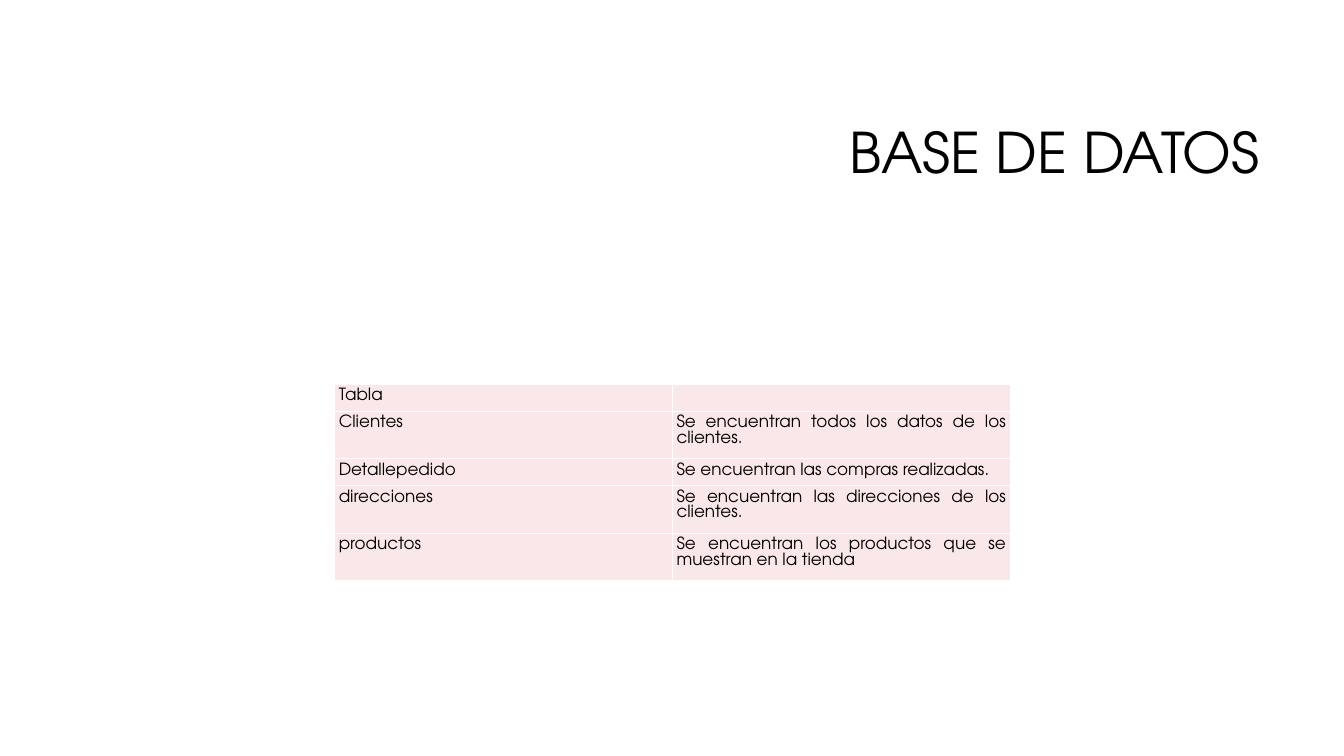
from lxml.etree import SubElement
from pptx import Presentation
from pptx.dml.color import RGBColor
from pptx.enum.text import MSO_ANCHOR, PP_ALIGN
from pptx.oxml.ns import qn
from pptx.util import Inches, Pt

FONT = "TeX Gyre Adventor"
TEXT_COLOR = "000000"
CELL_COLOR = "FAE8E9"
BORDER_COLOR = "FFFFFF"
CELL_SIZE = 12
COLUMN_WIDTH = 3.35
ONE_LINE, TWO_LINES = 0.23, 0.39
TABLE_ROWS = [
    (ONE_LINE, "Tabla", ""),
    (TWO_LINES, "Clientes", "Se encuentran todos los datos de los clientes."),
    (ONE_LINE, "Detallepedido ", "Se encuentran las compras realizadas."),
    (TWO_LINES, "direcciones", "Se encuentran las direcciones de los clientes."),
    (TWO_LINES, "productos", "Se encuentran los productos que se muestran en la tienda"),
]


def color(hex_value):
    return RGBColor.from_string(hex_value)


def style_paragraph(paragraph, size, alignment):
    paragraph.alignment = alignment
    paragraph.font.name = FONT
    paragraph.font.size = Pt(size)
    paragraph.font.color.rgb = color(TEXT_COLOR)


def add_title(slide, text):
    shape = slide.shapes.add_textbox(Inches(3.17), Inches(0.84), Inches(9.42), Inches(1.41))
    frame = shape.text_frame
    frame.word_wrap = True
    frame.vertical_anchor = MSO_ANCHOR.MIDDLE
    paragraph = frame.paragraphs[0]
    paragraph.text = text
    paragraph.line_spacing = 0.9
    style_paragraph(paragraph, 40, PP_ALIGN.RIGHT)


def set_borders(cell):
    properties = cell._tc.get_or_add_tcPr()
    for position, side in enumerate(("a:lnL", "a:lnR", "a:lnT", "a:lnB")):
        line = properties.makeelement(qn(side), {"w": str(Pt(1))})
        fill = SubElement(line, qn("a:solidFill"))
        SubElement(fill, qn("a:srgbClr"), val=BORDER_COLOR)
        properties.insert(position, line)


def keep_empty_line_small(paragraph):
    """Give an empty paragraph the text size, so that its row does not grow."""
    end = SubElement(paragraph._p, qn("a:endParaRPr"), sz=str(CELL_SIZE * 100))
    SubElement(end, qn("a:latin"), typeface=FONT)


def fill_cell(cell, text):
    cell.margin_left = cell.margin_right = cell.margin_top = Inches(0.04)
    cell.margin_bottom = Inches(0.03)
    cell.fill.solid()
    cell.fill.fore_color.rgb = color(CELL_COLOR)
    set_borders(cell)
    paragraph = cell.text_frame.paragraphs[0]
    paragraph.text = text
    style_paragraph(paragraph, CELL_SIZE, PP_ALIGN.JUSTIFY)
    if not text:
        keep_empty_line_small(paragraph)


def add_description_table(slide):
    height = sum(row[0] for row in TABLE_ROWS)
    table = slide.shapes.add_table(
        len(TABLE_ROWS), 2, Inches(3.32), Inches(3.81),
        Inches(2 * COLUMN_WIDTH), Inches(height),
    ).table
    table.first_row = False
    table.horz_banding = False
    for column in table.columns:
        column.width = Inches(COLUMN_WIDTH)
    for row, (row_height, *texts) in zip(table.rows, TABLE_ROWS):
        row.height = Inches(row_height)
        for cell, text in zip(row.cells, texts):
            fill_cell(cell, text)


def main():
    presentation = Presentation()
    presentation.slide_width = Inches(13.33)
    presentation.slide_height = Inches(7.5)
    slide = presentation.slides.add_slide(presentation.slide_layouts[6])
    add_title(slide, "BASE DE DATOS")
    add_description_table(slide)
    presentation.save("out.pptx")


if __name__ == "__main__":
    main()
